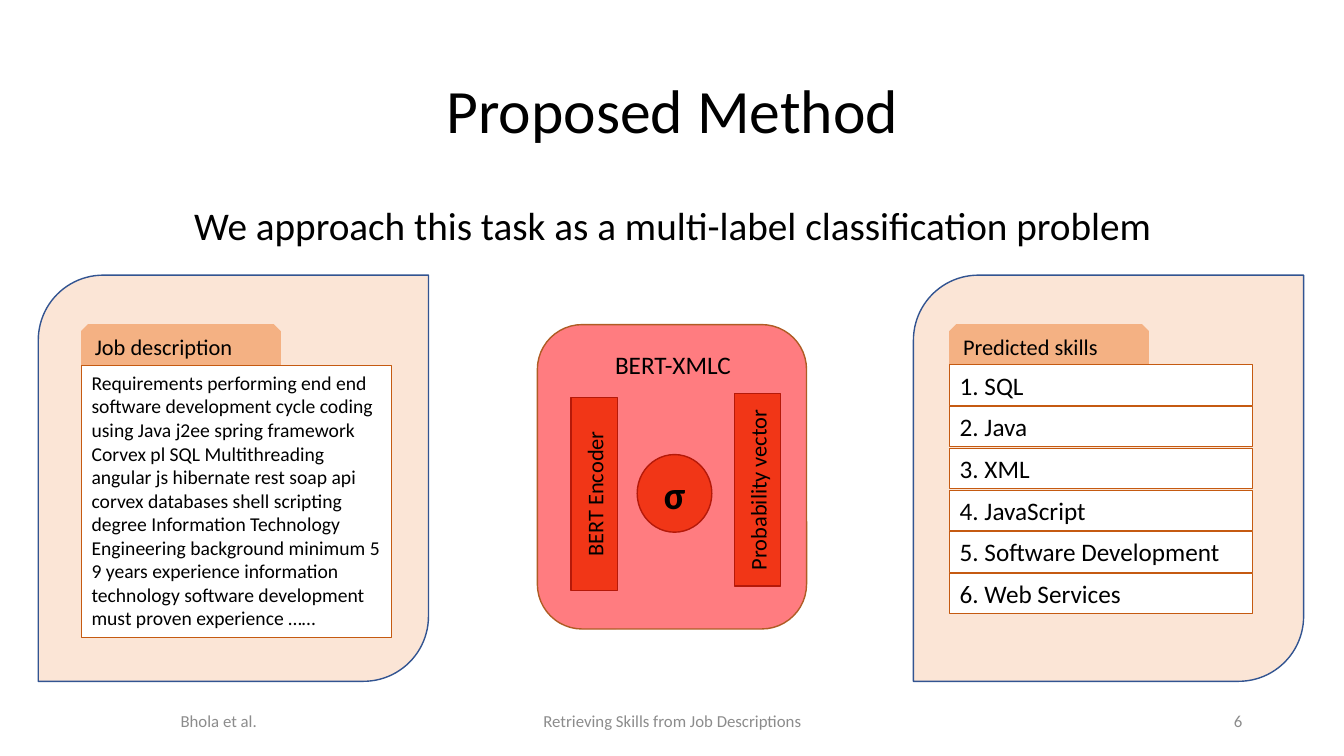
"""Build the Proposed Method slide: job description, BERT-XMLC model, predicted skills."""
from dataclasses import dataclass

import lxml.etree
import pptx
import pptx.dml.color
import pptx.enum.shapes
import pptx.enum.text
import pptx.oxml.ns
import pptx.util

Inches = pptx.util.Inches
Shape = pptx.enum.shapes.MSO_SHAPE
Align = pptx.enum.text.PP_ALIGN
Anchor = pptx.enum.text.MSO_ANCHOR
Fit = pptx.enum.text.MSO_AUTO_SIZE

TITLE = "Proposed Method"
CLAIM = "We approach this task as a multi-label classification problem"
JOB_LABEL = "Job description"
JOB_TEXT = (
    "Requirements performing end end software development cycle coding using Java j2ee "
    "spring framework Corvex pl SQL Multithreading angular js hibernate rest soap api "
    "corvex databases shell scripting degree Information Technology Engineering background "
    "minimum 5 9 years experience information technology software development must proven "
    "experience ……"
)
MODEL = "BERT-XMLC"
STAGES = [("BERT Encoder", 4.94, 4.67), ("Probability vector", 6.56, 4.63)]
SIGMA = "σ"
SKILLS_LABEL = "Predicted skills"
SKILLS = ["SQL", "Java", "XML", "JavaScript", "Software Development", "Web Services"]
FOOTERS = [
    ("6", 9.42, 3, Align.RIGHT),
    ("Retrieving Skills from Job Descriptions", 4.42, 4.5, Align.CENTER),
    ("Bhola et al.", -0.08, 4.5, Align.CENTER),
]
PANEL_TOP, LABEL_TOP, ROW_HEIGHT = 2.73, 3.22, 0.4
FIRST_SKILL, LAST_SKILL = 3.62, 5.69


@dataclass(frozen=True)
class Theme:
    """Colours, font and type sizes."""

    font: str = "Calibri"
    ink: str = "000000"
    muted: str = "8C8C8C"
    paper: str = "FFFFFF"
    panel: str = "FBE5D6"
    panel_edge: str = "325491"
    label: str = "F4B183"
    card_edge: str = "C55A11"
    model: str = "FF7C80"
    model_edge: str = "AF5C24"
    stage: str = "F13617"
    stage_edge: str = "B51909"
    title: int = 44
    lead: int = 28
    heading: int = 18
    caption: int = 16
    body: int = 14
    footer: int = 12


THEME = Theme()


def rgb(value):
    """Turn a hex string into a colour."""
    return pptx.dml.color.RGBColor.from_string(value)


def write(box, text, size, align=Align.LEFT, anchor=Anchor.TOP, color=THEME.ink,
          bold=False, grow=False, spacing=None):
    """Put one formatted run into a box and return it."""
    frame = box.text_frame
    frame.word_wrap = True
    frame.auto_size = Fit.SHAPE_TO_FIT_TEXT if grow else Fit.NONE
    frame.vertical_anchor = anchor
    para = frame.paragraphs[0]
    para.alignment = align
    if spacing:
        para.line_spacing = spacing
    span = para.add_run()
    span.text = text
    span.font.size = pptx.util.Pt(size)
    span.font.bold = bold
    span.font.name = THEME.font
    span.font.color.rgb = rgb(color)
    return span


def add_shape(page, kind, area, fill, edge, width=1):
    """Add a filled, outlined preset shape."""
    shape = page.shapes.add_shape(kind, *map(Inches, area))
    shape.shadow.inherit = False
    shape.fill.solid()
    shape.fill.fore_color.rgb = rgb(fill)
    shape.line.color.rgb = rgb(edge)
    shape.line.width = pptx.util.Pt(width)
    return shape


def add_text(page, area, text, size, **style):
    """Add a text box."""
    return write(page.shapes.add_textbox(*map(Inches, area)), text, size, **style)


def add_card(page, area, text, size):
    """Add a white bordered card."""
    card = add_shape(page, Shape.RECTANGLE, area, THEME.paper, THEME.card_edge, 0.75)
    write(card, text, size, grow=True)


def add_panel(page, left, label_left, label):
    """Add a side panel with its tab label."""
    add_shape(page, Shape.ROUND_2_DIAG_RECTANGLE, (left, PANEL_TOP, 3.87, 4.03),
              THEME.panel, THEME.panel_edge)
    tab = add_shape(page, Shape.SNIP_2_SAME_RECTANGLE,
                    (label_left, LABEL_TOP, 1.97, ROW_HEIGHT),
                    THEME.label, THEME.label, 0.75)
    write(tab, label, THEME.caption, grow=True)


def add_text_shadow(span):
    """Give a run a soft shadow to the lower right."""
    qn = pptx.oxml.ns.qn
    effects = lxml.etree.Element(qn("a:effectLst"))
    shadow = lxml.etree.SubElement(effects, qn("a:outerShdw"), blurRad="38100",
                                   dist="38100", dir="2700000", algn="tl")
    color = lxml.etree.SubElement(shadow, qn("a:srgbClr"), val=THEME.ink)
    lxml.etree.SubElement(color, qn("a:alpha"), val="43000")
    span.font.fill
    properties = span._r.get_or_add_rPr()
    properties.find(qn("a:solidFill")).addnext(effects)


def add_model(page):
    """Add the classifier block with its stages."""
    add_shape(page, Shape.ROUNDED_RECTANGLE, (5.33, LABEL_TOP, 2.67, 3.02),
              THEME.model, THEME.model_edge)
    for name, left, top in STAGES:
        stage = add_shape(page, Shape.RECTANGLE, (left, top, 1.91, 0.46),
                          THEME.stage, THEME.stage_edge)
        stage.rotation = 270
        write(stage, name, THEME.caption, Align.CENTER, Anchor.MIDDLE)
    sigma = add_shape(page, Shape.OVAL, (6.32, 4.51, 0.74, 0.77),
                      THEME.stage, THEME.stage_edge)
    write(sigma, SIGMA, THEME.lead, Align.CENTER, Anchor.MIDDLE, bold=True)
    add_text(page, (5.74, 3.42, 1.87, 0.4), MODEL, THEME.heading,
             align=Align.CENTER, grow=True)


def main():
    """Assemble and save the deck."""
    deck = pptx.Presentation()
    deck.slide_width, deck.slide_height = Inches(13.33), Inches(7.5)
    page = deck.slides.add_slide(deck.slide_layouts[5])

    title = page.shapes.title
    title.left, title.top, title.width, title.height = map(Inches, (0.92, 0.4, 11.5, 1.45))
    add_text_shadow(write(title, TITLE, THEME.title, Align.CENTER, Anchor.MIDDLE, spacing=0.9))
    add_text(page, (0.92, 2, 11.5, 4.76), CLAIM, THEME.lead, align=Align.CENTER, spacing=0.9)

    add_panel(page, 0.38, 0.81, JOB_LABEL)
    add_card(page, (0.81, 3.63, 3.07, 2.69), JOB_TEXT, THEME.body)
    add_model(page)
    add_panel(page, 9.06, 9.42, SKILLS_LABEL)
    pitch = (LAST_SKILL - FIRST_SKILL) / (len(SKILLS) - 1)
    for index, skill in enumerate(SKILLS):
        area = (9.42, FIRST_SKILL + index * pitch, 3, ROW_HEIGHT)
        add_card(page, area, f"{index + 1}. {skill}", THEME.heading)

    for text, left, width, align in FOOTERS:
        add_text(page, (left, 6.95, width, 0.4), text, THEME.footer, align=align,
                 anchor=Anchor.MIDDLE, color=THEME.muted)
    deck.save("out.pptx")


if __name__ == "__main__":
    main()
